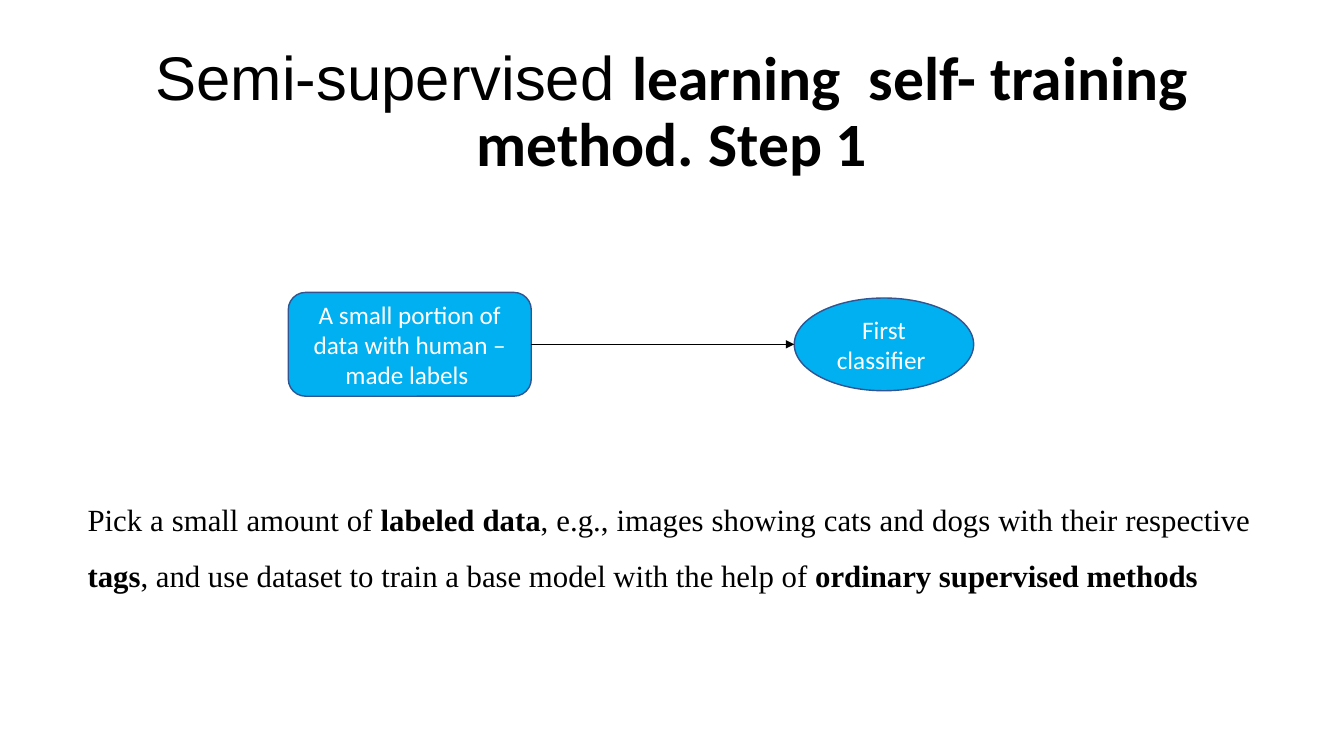
from lxml.etree import SubElement
from pptx import Presentation
from pptx.dml.color import RGBColor
from pptx.enum.shapes import MSO_CONNECTOR, MSO_SHAPE
from pptx.enum.text import MSO_ANCHOR, PP_ALIGN
from pptx.oxml.ns import qn
from pptx.util import Inches, Pt

BLACK = RGBColor(0x00, 0x00, 0x00)
WHITE = RGBColor(0xFF, 0xFF, 0xFF)
SKY = RGBColor(0x00, 0xB0, 0xF0)
NAVY = RGBColor(0x32, 0x54, 0x91)

deck = Presentation()
deck.slide_width, deck.slide_height = Inches(13.33), Inches(7.5)
slide = deck.slides.add_slide(deck.slide_layouts[6])


def place(left, top, width, height):
    """Turn percentages of the slide's size into lengths."""
    across, down = deck.slide_width / 100, deck.slide_height / 100
    return round(left * across), round(top * down), round(width * across), round(height * down)


def write(frame, runs, align, spacing, anchor, size, color):
    """Fill a frame with one paragraph of (text, font name, bold) runs."""
    frame.word_wrap = True
    frame.vertical_anchor = anchor
    paragraph = frame.paragraphs[0]
    paragraph.alignment = align
    paragraph.line_spacing = spacing
    for text, name, bold in runs:
        run = paragraph.add_run()
        run.text = text
        run.font.color.rgb = color
        for key, value in {"name": name, "bold": bold, "size": Pt(size)}.items():
            setattr(run.font, key, value)


heading = slide.shapes.add_textbox(*place(6.9, 5.33, 86.25, 19.33))
write(
    heading.text_frame,
    [("Semi-supervised ", "Arial", False),
     ("learning  self- training method. Step 1", "Calibri", True)],
    PP_ALIGN.CENTER, 0.9, MSO_ANCHOR.MIDDLE, 44, BLACK,
)

# Both steps are centred on one horizontal axis
FLOW_AXIS = 45.55
steps = []
for outline, left, width, height, label in [
    (MSO_SHAPE.ROUNDED_RECTANGLE, 21.45, 18.08, 13.73,
     "A small portion of data with human – made labels "),
    (MSO_SHAPE.OVAL, 59.1, 13.35, 12.27, "First classifier "),
]:
    step = slide.shapes.add_shape(outline, *place(left, FLOW_AXIS - height / 2, width, height))
    step.shadow.inherit = False
    step.fill.solid()
    step.fill.fore_color.rgb = SKY
    step.line.color.rgb = NAVY
    step.line.width = Pt(1)
    write(step.text_frame, [(label, "Calibri", False)],
          PP_ALIGN.CENTER, 1.0, MSO_ANCHOR.MIDDLE, 18, WHITE)
    steps.append(step)

labeled_data, classifier = steps
training = slide.shapes.add_connector(MSO_CONNECTOR.STRAIGHT, 0, 0, 0, 0)
axis_y = place(0, FLOW_AXIS, 0, 0)[1]
for key, value in {
    "begin_x": labeled_data.left + labeled_data.width, "begin_y": axis_y,
    "end_x": classifier.left, "end_y": axis_y,
}.items():
    setattr(training, key, value)
training.line.color.rgb = BLACK
training.line.width = Pt(0.5)
SubElement(training.line._get_or_add_ln(), qn("a:tailEnd"), type="triangle")
SubElement(training._element.spPr, qn("a:effectLst"))

explanation = slide.shapes.add_textbox(*place(5.78, 63.2, 87.98, 15.33))
write(
    explanation.text_frame,
    [(text, "Times New Roman", bold) for text, bold in [
        ("Pick a small amount of ", False),
        ("labeled data", True),
        (", e.g., images showing cats and dogs with their respective ", False),
        ("tags", True),
        (", and use dataset to train a base model with the help of ", False),
        ("ordinary supervised methods", True),
    ]],
    PP_ALIGN.JUSTIFY, 1.5, MSO_ANCHOR.TOP, 22, BLACK,
)

deck.save("out.pptx")
